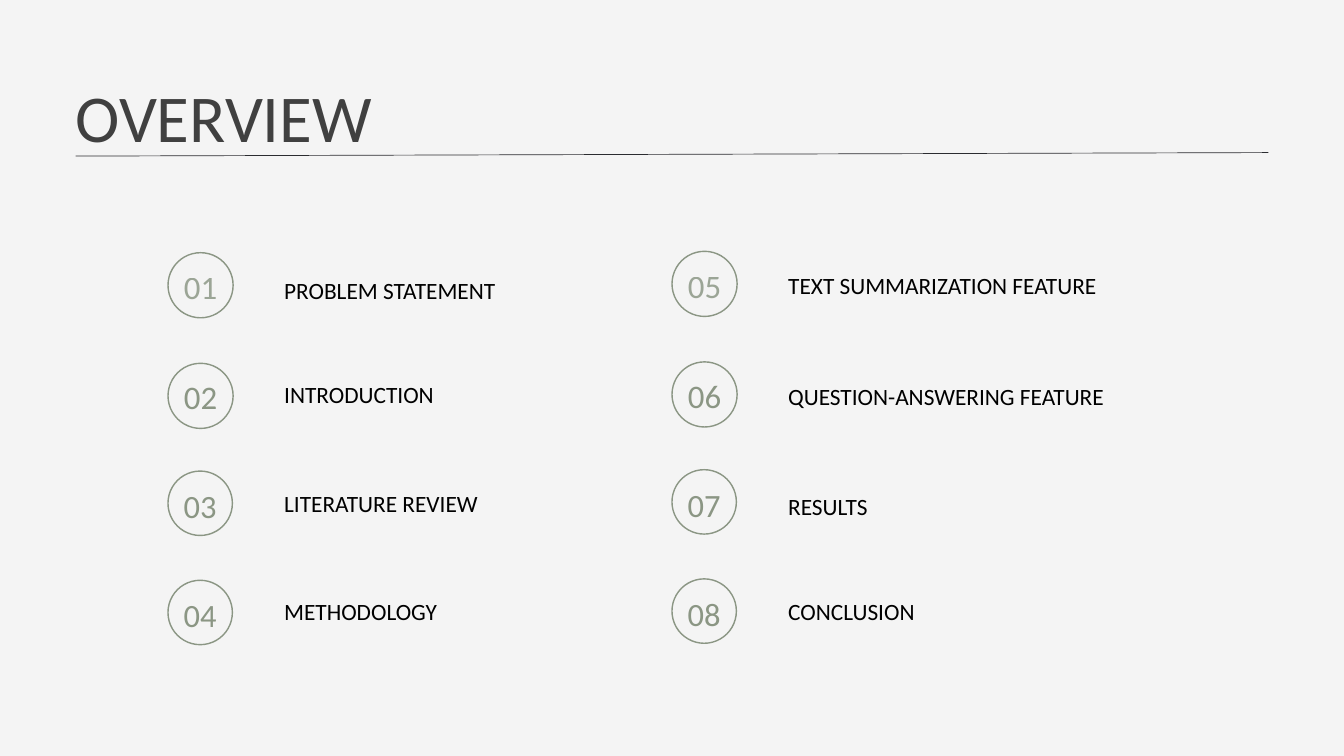
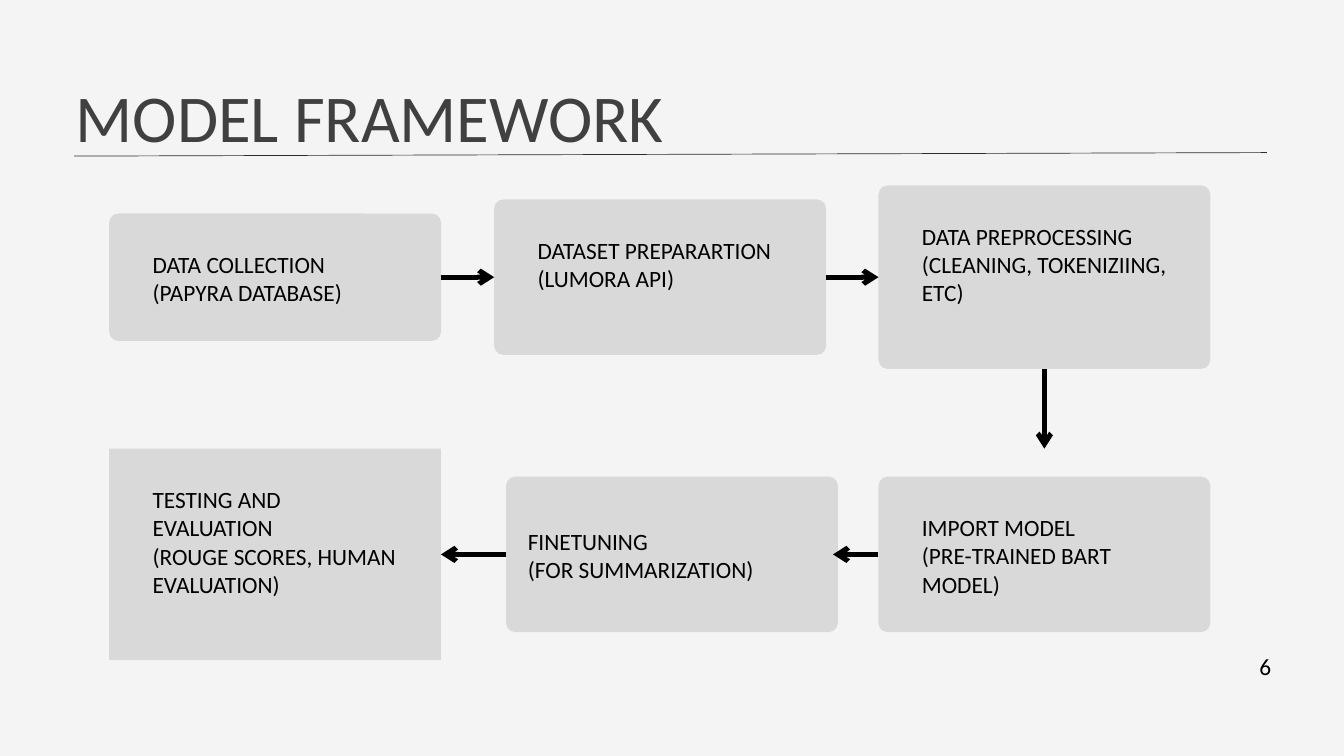
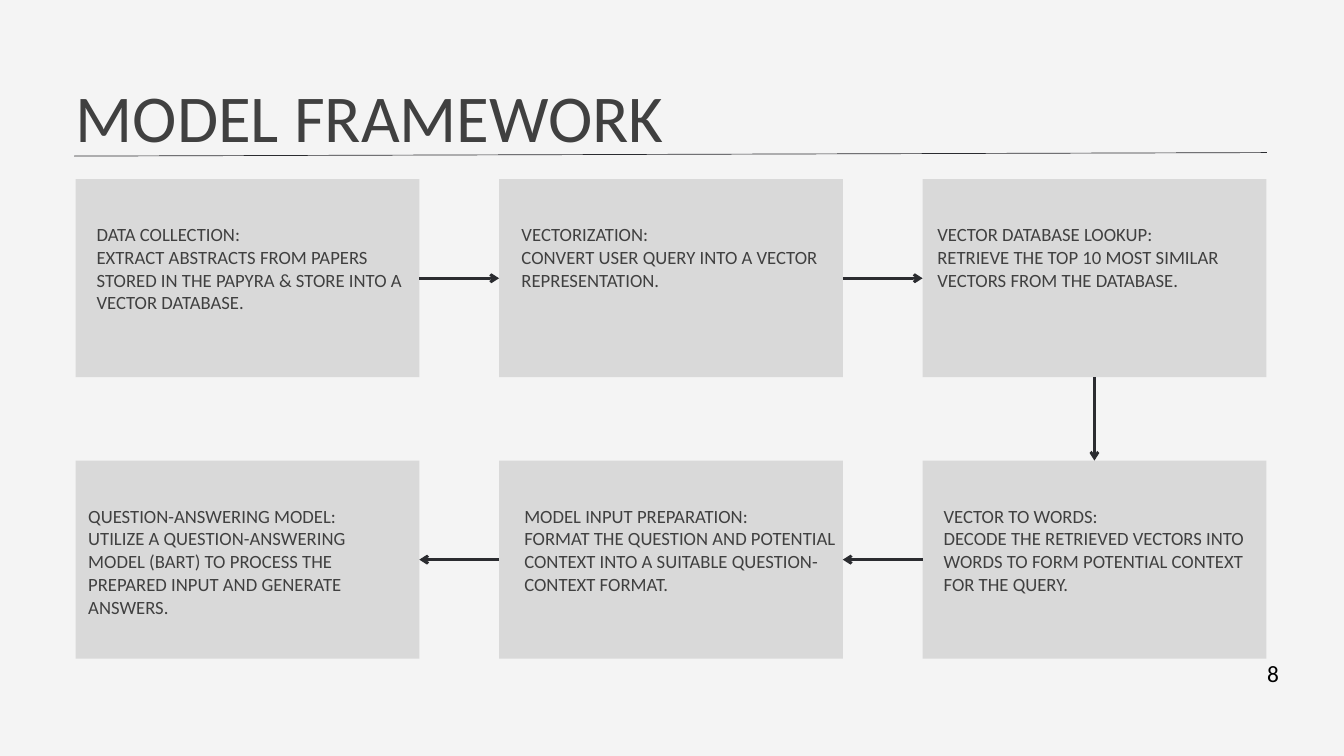
from lxml import etree
from pptx import Presentation
from pptx.dml.color import RGBColor
from pptx.enum.shapes import MSO_CONNECTOR, MSO_SHAPE
from pptx.enum.text import MSO_AUTO_SIZE, PP_ALIGN
from pptx.oxml.ns import qn
from pptx.util import Pt

PX = 9525  # EMU in one px, 1920 x 1080 px a slide
STRAIGHT = MSO_CONNECTOR.STRAIGHT
OVAL, RECTANGLE = MSO_SHAPE.OVAL, MSO_SHAPE.RECTANGLE
ROUNDED = MSO_SHAPE.ROUNDED_RECTANGLE
LEFT, CENTER = PP_ALIGN.LEFT, PP_ALIGN.CENTER
FIT = MSO_AUTO_SIZE.SHAPE_TO_FIT_TEXT
TOP_SIDE, LEFT_SIDE, BOTTOM_SIDE, RIGHT_SIDE = range(4)

FONT = "Calibri"
COLORS = {
    "background": "F4F4F4",
    "title": "404040",
    "rule": "2B2C30",
    "sage": "8B9684",
    "box": "D9D9D9",
    "black": "000000",
}
# Text styles: size and line spacing in points
STYLES = {
    "title": {"size": 71.7, "spacing": 87.5, "color": "title"},
    "body": {"size": 25, "spacing": 30.5, "color": "black"},
    "detail": {"size": 20, "spacing": 24.4, "color": "title"},
    "number": {"size": 35.2, "spacing": 49.3, "color": "sage"},
    "small number": {"size": 34.8, "spacing": 48.7, "color": "sage"},
}

# Overview: label, label top, label width; one list per column
TOPICS = [
    [
        ("PROBLEM STATEMENT", 394, 411),
        ("INTRODUCTION", 542, 411),
        ("LITERATURE REVIEW", 698, 411),
        ("METHODOLOGY", 853, 411),
    ],
    [
        ("TEXT SUMMARIZATION FEATURE", 387, 612),
        ("QUESTION-ANSWERING FEATURE", 545, 573),
        ("RESULTS", 703, 451),
        ("CONCLUSION", 853, 451),
    ],
]
TOPIC_LEFTS = (240, 960)
# Circle top, diameter, number offset, number height, style; one per row
CIRCLE_ROWS = [
    (361, 93, 11, 64, "number"),
    (519, 93, 10, 64, "number"),
    (673, 92, 12, 62, "small number"),
    (829, 92, 12, 62, "small number"),
]

# Summarization steps: left, row centre, height, shape, text inset x, y, width, lines
SUMMARY_STEPS = [
    (156, 396, 182, ROUNDED, 62, 51, 350, ["DATA COLLECTION", "(PAPYRA DATABASE)"]),
    (706, 396, 222, ROUNDED, 62, 51, 350, ["DATASET PREPARARTION", "(LUMORA API)"]),
    (1255, 396, 262, ROUNDED, 62, 51, 350,
     ["DATA PREPROCESSING", "(CLEANING, TOKENIZIING, ETC)"]),
    (1255, 792, 222, ROUNDED, 62, 51, 350, ["IMPORT MODEL", "(PRE-TRAINED BART MODEL)"]),
    (723, 792, 222, ROUNDED, 31, 71, 413, ["FINETUNING", "(FOR SUMMARIZATION)"]),
    (156, 792, 302, RECTANGLE, 62, 51, 350,
     ["TESTING AND EVALUATION", "(ROUGE SCORES, HUMAN EVALUATION)"]),
]
SUMMARY_WIDTH, CORNER = 474, 13
# Arrows that stop at a point instead of a box, by number of the first step
SUMMARY_STOPS = {2: (1492, 641), 3: (1190, 792)}

# Question-answering steps: column, row, text inset, text width, lines
ANSWER_STEPS = [
    (0, 0, 30, 460, ["DATA COLLECTION:",
                     "EXTRACT ABSTRACTS FROM PAPERS STORED IN THE PAPYRA & STORE INTO A "
                     "VECTOR DATABASE."]),
    (1, 0, 32, 430, ["VECTORIZATION:",
                     "CONVERT USER QUERY INTO A VECTOR REPRESENTATION."]),
    (2, 0, 21, 450, ["VECTOR DATABASE LOOKUP:",
                     "RETRIEVE THE TOP 10 MOST SIMILAR VECTORS FROM THE DATABASE."]),
    (2, 1, 30, 433, ["VECTOR TO WORDS:",
                     "DECODE THE RETRIEVED VECTORS INTO WORDS TO FORM POTENTIAL CONTEXT "
                     "FOR THE QUERY."]),
    (1, 1, 36, 479, ["MODEL INPUT PREPARATION:",
                     "FORMAT THE QUESTION AND POTENTIAL CONTEXT INTO A SUITABLE "
                     "QUESTION-CONTEXT FORMAT."]),
    (0, 1, 18, 455, ["QUESTION-ANSWERING MODEL:",
                     "UTILIZE A QUESTION-ANSWERING MODEL (BART) TO PROCESS THE PREPARED "
                     "INPUT AND GENERATE ANSWERS."]),
]
ANSWER_LEFT, ANSWER_TOP, ANSWER_WIDTH, ANSWER_HEIGHT = 108, 256, 491, 283
COLUMN_PITCH, ROW_PITCH = 605, 402

# Sides joined by the arrow after each step
FLOW = [
    (RIGHT_SIDE, LEFT_SIDE),
    (RIGHT_SIDE, LEFT_SIDE),
    (BOTTOM_SIDE, TOP_SIDE),
    (LEFT_SIDE, RIGHT_SIDE),
    (LEFT_SIDE, RIGHT_SIDE),
]


def emu(*lengths):
    return [round(length * PX) for length in lengths]


def rgb(name):
    return RGBColor.from_string(COLORS[name])


def add_text(slide, box, lines, style, align=LEFT, opacity=None):
    frame = slide.shapes.add_textbox(*emu(*box)).text_frame
    settings = {"word_wrap": True, "auto_size": FIT, "margin_left": 0,
                "margin_top": 0, "margin_right": 0, "margin_bottom": 0}
    for name, value in settings.items():
        setattr(frame, name, value)
    look = STYLES[style]
    for index, line in enumerate(lines):
        paragraph = frame.add_paragraph() if index else frame.paragraphs[0]
        paragraph.alignment = align
        paragraph.line_spacing = Pt(look["spacing"])
        run = paragraph.add_run()
        run.text = line
        run.font.name = FONT
        run.font.size = Pt(look["size"])
        run.font.color.rgb = rgb(look["color"])
        if opacity:
            color = run._r.find(".//" + qn("a:srgbClr"))
            etree.SubElement(color, qn("a:alpha"), val=str(opacity * 1000))


def add_shape(slide, kind, box, fill=None, line=None):
    shape = slide.shapes.add_shape(kind, *emu(*box))
    shape.shadow.inherit = False
    if fill:
        shape.fill.solid()
        shape.fill.fore_color.rgb = rgb(fill)
    else:
        shape.fill.background()
    if line:
        shape.line.color.rgb = rgb(line)
        shape.line.width = Pt(1.5)
    else:
        shape.line.fill.background()
    return shape


def add_line(slide, start, end, color, width, arrow=False):
    connector = slide.shapes.add_connector(STRAIGHT, *emu(*start, *end))
    connector.line.color.rgb = rgb(color)
    connector.line.width = Pt(width)
    if arrow:
        etree.SubElement(connector.line._get_or_add_ln(), qn("a:tailEnd"), type="arrow")
    etree.SubElement(connector._element.spPr, qn("a:effectLst"))
    return connector


def add_flow(slide, boxes, color, width, stops):
    for index, (start_side, end_side) in enumerate(FLOW):
        stop = stops.get(index, (0, 0))
        connector = add_line(slide, (0, 0), stop, color, width, arrow=True)
        connector.begin_connect(boxes[index], start_side)
        if index not in stops:
            connector.end_connect(boxes[index + 1], end_side)


def add_slide(presentation, title, title_width, rule_left):
    slide = presentation.slides.add_slide(presentation.slide_layouts[6])
    slide.background.fill.solid()
    slide.background.fill.fore_color.rgb = rgb("background")
    add_text(slide, (108, 106, title_width, 117), [title], "title")
    add_line(slide, (rule_left, 223), (rule_left + 1704, 218), "rule", 0.75)
    return slide


def build_overview(presentation):
    slide = add_slide(presentation, "OVERVIEW", 862, 108)
    for column, (left, topics) in enumerate(zip(TOPIC_LEFTS, TOPICS)):
        for row, (label, label_top, label_width) in enumerate(topics):
            top, diameter, offset, height, style = CIRCLE_ROWS[row]
            top -= 2 * column
            number = f"{column * len(topics) + row + 1:02}"
            add_shape(slide, OVAL, (left, top, diameter, diameter), line="sage")
            add_text(slide, (left, top + offset, diameter, height), [number], style,
                     CENTER, opacity=None if row else 83)
            add_text(slide, (left + 166, label_top, label_width, 40), [label], "body")


def build_summary_framework(presentation):
    slide = add_slide(presentation, "MODEL FRAMEWORK", 1563, 106)
    boxes = []
    for left, centre, height, kind, inset_x, inset_y, text_width, lines in SUMMARY_STEPS:
        top = centre - height // 2
        box = add_shape(slide, kind, (left, top, SUMMARY_WIDTH, height), fill="box")
        if kind == ROUNDED:
            box.adjustments[0] = CORNER / height
        boxes.append(box)
        text_box = (left + inset_x, top + inset_y, text_width, height - 2 * inset_y)
        add_text(slide, text_box, lines, "body")
    add_flow(slide, boxes, "black", 5.25, SUMMARY_STOPS)
    add_text(slide, (1799, 931, 22, 40), ["6"], "body")


def build_answer_framework(presentation):
    slide = add_slide(presentation, "MODEL FRAMEWORK", 1563, 106)
    boxes = []
    for column, row, inset, text_width, lines in ANSWER_STEPS:
        left = ANSWER_LEFT + column * COLUMN_PITCH
        top = ANSWER_TOP + row * ROW_PITCH
        boxes.append(add_shape(slide, RECTANGLE, (left, top, ANSWER_WIDTH, ANSWER_HEIGHT),
                               fill="box"))
        add_text(slide, (left + inset, top + 62, text_width, 128), lines, "detail")
    add_flow(slide, boxes, "rule", 3, {})
    add_text(slide, (1810, 941, 19, 40), ["8"], "body")


def main():
    presentation = Presentation()
    presentation.slide_width, presentation.slide_height = emu(1920, 1080)
    build_overview(presentation)
    build_summary_framework(presentation)
    build_answer_framework(presentation)
    presentation.save("out.pptx")


if __name__ == "__main__":
    main()
